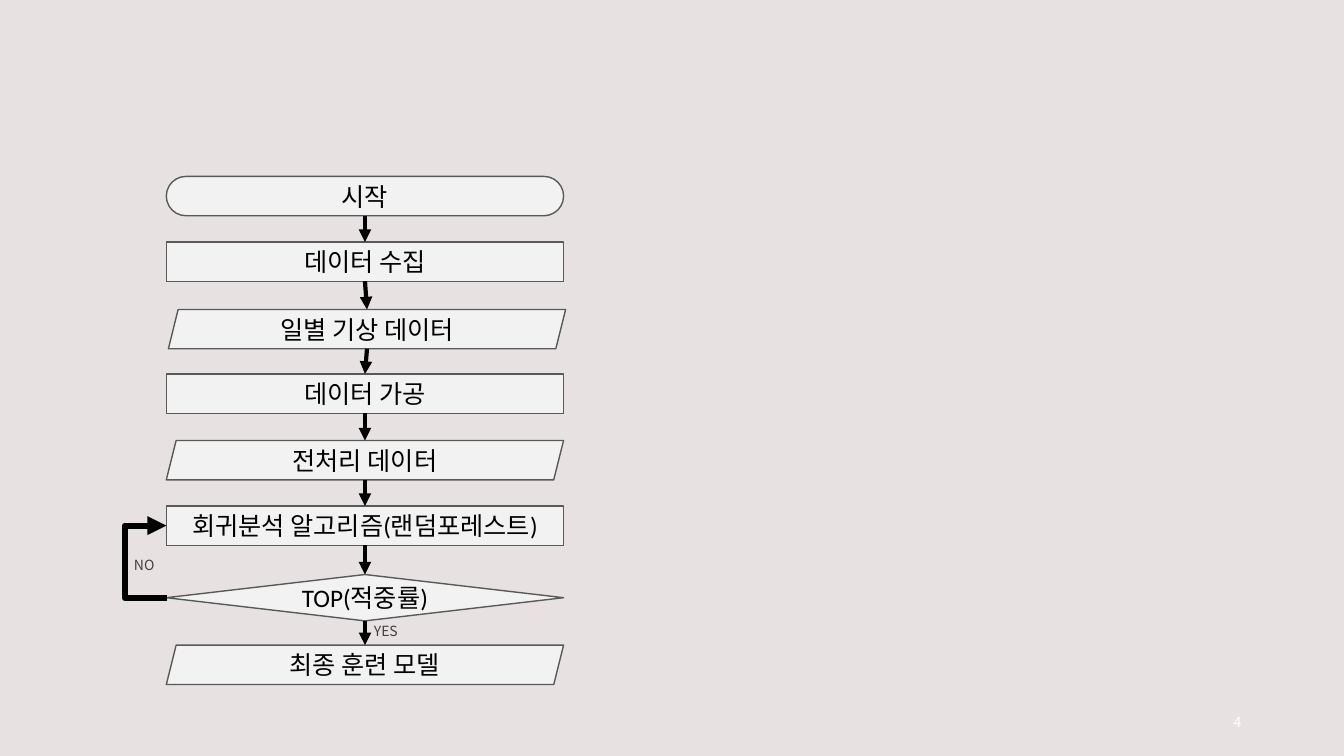
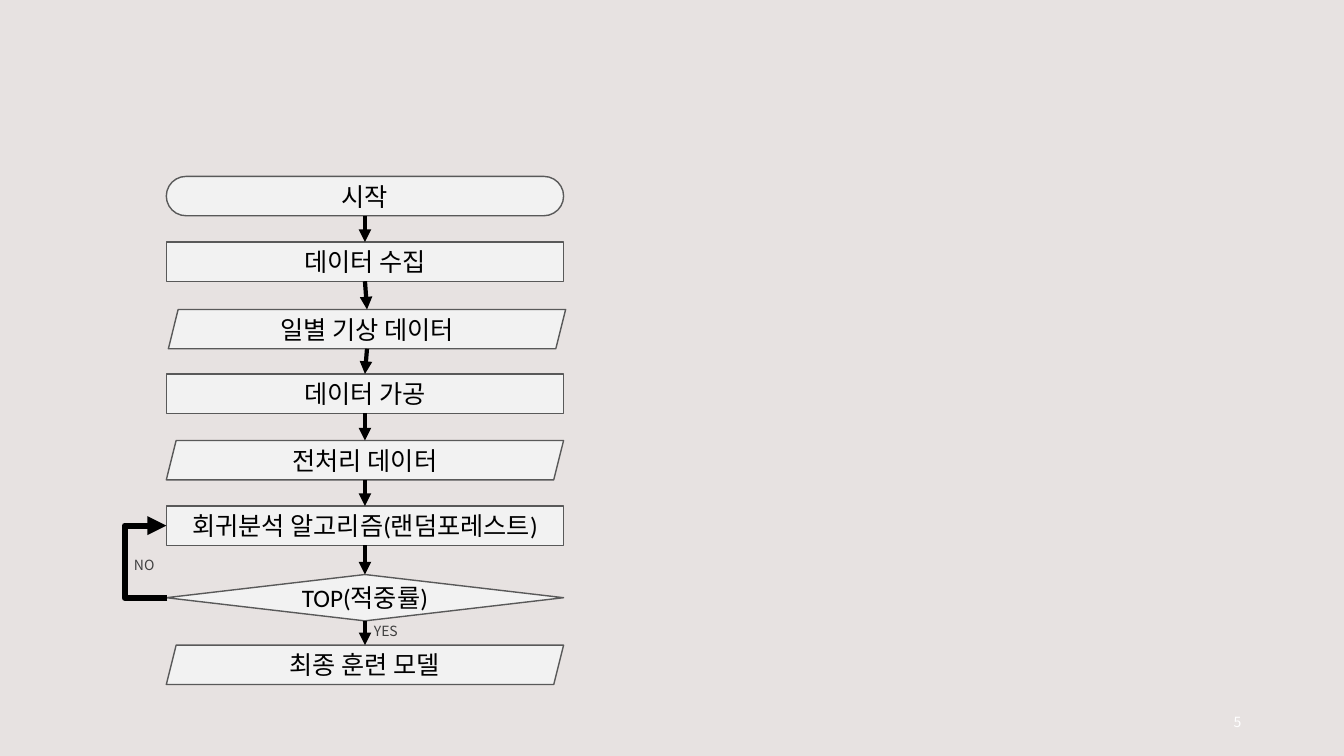
from dataclasses import dataclass
from itertools import pairwise

from lxml.etree import SubElement
from pptx import Presentation
from pptx.dml.color import RGBColor
from pptx.enum.shapes import MSO_CONNECTOR as LINE, MSO_SHAPE as FORM
from pptx.enum.text import MSO_ANCHOR, PP_ALIGN
from pptx.oxml.ns import qn
from pptx.util import Inches, Pt


@dataclass(frozen=True)
class Theme:
    """Colours, fonts and sizes that all slides share."""
    back: str = "E7E2E1"
    fill: str = "F2F2F2"
    edge: str = "595959"
    ink: str = "000000"
    note: str = "404040"
    page: str = "FFFFFF"
    latin: str = "Calibri"
    asian: str = "Noto Sans CJK KR"
    step: float = 18
    small: float = 10
    rim: float = 1
    arrow: float = 3
    loop: float = 4.5


THEME = Theme()
STEPS = [
    (FORM.ROUNDED_RECTANGLE, "시작", 0, 0, 0.39),
    (FORM.RECTANGLE, "데이터 수집", 0, 0.65, 0.39),
    (FORM.PARALLELOGRAM, "일별 기상 데이터", 0.02, 1.32, 0.39),
    (FORM.RECTANGLE, "데이터 가공", 0, 1.96, 0.39),
    (FORM.PARALLELOGRAM, "전처리 데이터", 0, 2.62, 0.39),
    (FORM.RECTANGLE, "회귀분석 알고리즘(랜덤포레스트)", 0, 3.27, 0.39),
    (FORM.DIAMOND, "TOP(적중률)", 0, 3.95, 0.46),
    (FORM.PARALLELOGRAM, "최종 훈련 모델", 0, 4.65, 0.39),
]


def color(code):
    """Turn a hex code into a colour."""
    return RGBColor.from_string(code)


def write(shape, text, size, ink, face, align):
    """Put one styled line of text in a shape."""
    frame = shape.text_frame
    frame.text = text
    line = frame.paragraphs[0]
    line.alignment = align
    for run in line.runs:
        run.font.size = Pt(size)
        run.font.name = face
        run.font.color.rgb = color(ink)
        SubElement(run.font._element, qn("a:ea")).set("typeface", THEME.asian)


def label(shapes, text, left, top, width, ink, align=PP_ALIGN.LEFT):
    """Add a small line of text."""
    box = shapes.add_textbox(Inches(left), Inches(top), Inches(width), Inches(0.27))
    box.text_frame.word_wrap = False
    write(box, text, THEME.small, ink, THEME.asian, align)


def step(shapes, form, text, left, top, width, height):
    """Add one step of the flow."""
    shape = shapes.add_shape(form, Inches(left), Inches(top), Inches(width), Inches(height))
    shape.shadow.inherit = False
    if form == FORM.ROUNDED_RECTANGLE:
        shape.adjustments[0] = 0.5
    shape.fill.solid()
    shape.fill.fore_color.rgb = color(THEME.fill)
    shape.line.color.rgb = color(THEME.edge)
    shape.line.width = Pt(THEME.rim)
    shape.text_frame.word_wrap = True
    shape.text_frame.vertical_anchor = MSO_ANCHOR.MIDDLE
    write(shape, text, THEME.step, THEME.ink, THEME.latin, PP_ALIGN.CENTER)
    return shape


def arrow(shapes, kind, start, end, weight):
    """Add a line with an arrowhead at its end."""
    link = shapes.add_connector(kind, *start, *end)
    link.line.color.rgb = color(THEME.ink)
    link.line.width = Pt(weight)
    SubElement(link.line._get_or_add_ln(), qn("a:tailEnd")).set("type", "triangle")
    SubElement(link._element.spPr, qn("a:effectLst"))
    return link


def loop(shapes, goal, test, reach):
    """Lead back from the test to the goal around the left side."""
    width = Inches(0.01)
    top = goal.top + goal.height // 2
    low = test.top + test.height // 2
    link = arrow(shapes, LINE.ELBOW, (goal.left, top), (goal.left + width, low), THEME.loop)
    props = link._element.spPr
    props.find(qn("a:xfrm")).set("rot", "10800000")
    guide = SubElement(props.find(qn("a:prstGeom")).find(qn("a:avLst")), qn("a:gd"))
    guide.set("name", "adj1")
    guide.set("fmla", f"val {round((Inches(reach) + width) / width * 100000)}")


def flow(shapes, left, top, width):
    """Draw the training flow in a box."""
    nodes = [step(shapes, form, text, left + dx, top + dy, width, height)
             for form, text, dx, dy, height in STEPS]
    for node, heir in pairwise(nodes):
        start = node.left + node.width // 2, node.top + node.height
        end = heir.left + heir.width // 2, heir.top
        arrow(shapes, LINE.STRAIGHT, start, end, THEME.arrow)
    loop(shapes, nodes[5], nodes[6], 0.42)
    label(shapes, "YES", left + 1.96, top + 4.38, 0.45, THEME.note)
    label(shapes, "NO", left - 0.42, top + 3.72, 0.41, THEME.note)


def main():
    """Build and save the deck."""
    deck = Presentation()
    deck.slide_width, deck.slide_height = Inches(13.33), Inches(7.5)
    back = deck.slide_master.background.fill
    back.solid()
    back.fore_color.rgb = color(THEME.back)
    for page in (4, 5):
        slide = deck.slides.add_slide(deck.slide_layouts[6])
        flow(slide.shapes.add_group_shape().shapes, 1.65, 1.75, 3.94)
        label(slide.shapes, str(page), 11.41, 7.03, 1, THEME.page, PP_ALIGN.RIGHT)
    deck.save("out.pptx")


if __name__ == "__main__":
    main()
